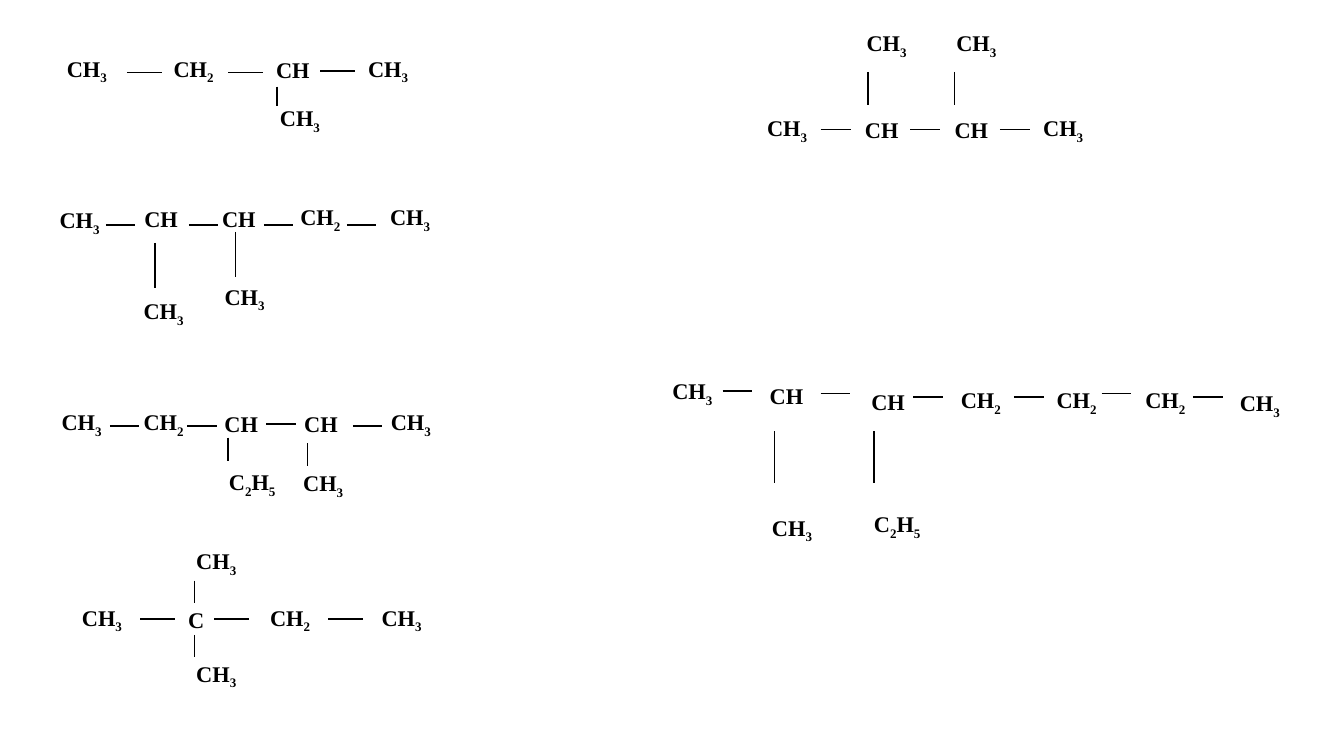
from dataclasses import dataclass

from lxml import etree
from pptx import Presentation
from pptx.dml.color import RGBColor
from pptx.enum.shapes import MSO_CONNECTOR
from pptx.enum.text import MSO_ANCHOR, PP_ALIGN
from pptx.oxml.ns import qn
from pptx.shapes.group import GroupShape
from pptx.util import Cm, Pt

STRAIGHT = MSO_CONNECTOR.STRAIGHT
MIDDLE = MSO_ANCHOR.MIDDLE
CENTER = PP_ALIGN.CENTER


@dataclass(frozen=True)
class Theme:
    font_name: str = "Times New Roman"
    font_size: Pt = Pt(16)
    ink: RGBColor = RGBColor(0, 0, 0)
    bond_width: Pt = Pt(1)
    subscript: str = "-25000"
    line_spacing: float = 1.07
    space_after: Pt = Pt(8)


THEME = Theme()


# All positions and sizes below are in centimetres.
@dataclass(frozen=True)
class AtomRow:
    top: float
    formulas: str  # separated by spaces, one for each left edge
    lefts: list[float]


@dataclass(frozen=True)
class BondRow:
    top: float
    lefts: list[float]


@dataclass(frozen=True)
class Molecule:
    wide: float  # box width of a formula with a subscript
    narrow: float  # box width of a formula without one
    height: float
    atoms: list[AtomRow]
    across_length: float
    across: list[BondRow]
    down_length: float
    down: list[BondRow]
    spaced: bool = True


MOLECULES = [
    # Left column, from top to bottom
    Molecule(1.6, 1.24, 0.64,
             [AtomRow(1.42, "CH3 CH2 CH CH3", [1.39, 4.08, 6.76, 8.98]),
              AtomRow(2.67, "CH3", [6.76])],
             0.87, [BondRow(1.83, [3.2, 5.75]), BondRow(1.79, [8.07])],
             0.48, [BondRow(2.18, [6.98])]),
    Molecule(1.35, 1.04, 1.52,
             [AtomRow(4.8, "CH3", [1.33]),
              AtomRow(4.72, "CH CH CH2 CH3", [3.54, 5.5, 7.4, 9.66]),
              AtomRow(7.09, "CH3", [3.45]),
              AtomRow(6.73, "CH3", [5.49])],
             0.74, [BondRow(5.67, [2.67, 4.76, 6.65, 8.74])],
             1.14, [BondRow(6.12, [3.91]), BondRow(5.84, [5.94])]),
    Molecule(1.35, 1.04, 0.79,
             [AtomRow(10.25, "CH3 CH2 CH CH CH3",
                      [1.38, 3.45, 5.56, 7.57, 9.68]),
              AtomRow(11.76, "C2H5", [5.68]),
              AtomRow(11.79, "CH3", [7.47])],
             0.74, [BondRow(10.73, [2.77, 4.72, 8.89]),
                    BondRow(10.68, [6.71])],
             0.58, [BondRow(11.03, [5.75]), BondRow(11.17, [7.75])]),
    Molecule(1.8, 0.81, 0.74,
             [AtomRow(13.81, "CH3", [4.55]),
              AtomRow(15.23, "CH3 C CH2 CH3", [1.67, 4.54, 6.41, 9.22]),
              AtomRow(16.64, "CH3", [4.55])],
             0.87, [BondRow(15.6, [3.53, 5.4, 8.27])],
             0.56, [BondRow(14.63, [4.9]), BondRow(16, [4.9])],
             spaced=False),
    # Right column, from top to bottom
    Molecule(1.57, 1.32, 1.12,
             [AtomRow(0.56, "CH3 CH3", [21.56, 23.82]),
              AtomRow(2.71, "CH3 CH CH CH3", [19.05, 21.56, 23.82, 26.01])],
             0.76, [BondRow(3.27, [20.68, 22.94, 25.2])],
             0.84, [BondRow(1.81, [21.87, 24.06])],
             spaced=False),
    Molecule(1.88, 1.88, 1.75,
             [AtomRow(8.99, "CH3", [16.51]),
              AtomRow(9.07, "CH", [18.88]),
              AtomRow(9.22, "CH CH2 CH2 CH2", [21.44, 23.78, 26.19, 28.43]),
              AtomRow(9.3, "CH3", [30.81]),
              AtomRow(12.43, "CH3", [19.02]),
              AtomRow(12.34, "C2H5", [21.67])],
             0.75, [BondRow(9.85, [18.21]), BondRow(9.92, [20.68, 27.76]),
                    BondRow(10, [23.01, 25.55, 30.06])],
             1.31, [BondRow(10.87, [19.52, 22.03])]),
]


def split_formula(formula: str) -> list[str]:
    """Separate letters from the digits that become subscripts."""
    parts: list[str] = []
    for symbol in formula:
        if parts and parts[-1].isdigit() == symbol.isdigit():
            parts[-1] += symbol
        else:
            parts.append(symbol)
    return parts


def draw_atom(group: GroupShape, molecule: Molecule,
              formula: str, left: float, top: float) -> None:
    parts = split_formula(formula)
    width = molecule.wide if len(parts) > 1 else molecule.narrow
    box = group.shapes.add_textbox(
        Cm(left), Cm(top), Cm(width), Cm(molecule.height))
    frame = box.text_frame
    frame.word_wrap = True
    frame.vertical_anchor = MIDDLE
    frame.margin_left = frame.margin_right = Cm(0)
    frame.margin_top = frame.margin_bottom = Cm(0)
    paragraph = frame.paragraphs[0]
    paragraph.alignment = CENTER
    if molecule.spaced:
        paragraph.line_spacing = THEME.line_spacing
        paragraph.space_after = THEME.space_after
    font = paragraph.font
    font.name = THEME.font_name
    font.size = THEME.font_size
    font.bold = True
    font.color.rgb = THEME.ink
    for part in parts:
        run = paragraph.add_run()
        run.text = part
        if part.isdigit():
            run._r.get_or_add_rPr().set("baseline", THEME.subscript)


def draw_bonds(group: GroupShape, rows: list[BondRow],
               width: float, height: float) -> None:
    for row in rows:
        for left in row.lefts:
            bond = group.shapes.add_connector(
                STRAIGHT, Cm(left), Cm(row.top),
                Cm(left + width), Cm(row.top + height))
            bond.line.color.rgb = THEME.ink
            bond.line.width = THEME.bond_width
            etree.SubElement(bond._element.spPr, qn("a:effectLst"))


def draw_molecule(group: GroupShape, molecule: Molecule) -> None:
    for row in molecule.atoms:
        for formula, left in zip(row.formulas.split(), row.lefts):
            draw_atom(group, molecule, formula, left, row.top)
    draw_bonds(group, molecule.across, molecule.across_length, 0)
    draw_bonds(group, molecule.down, 0, molecule.down_length)


def main() -> None:
    presentation = Presentation()
    presentation.slide_width = Cm(33.87)
    presentation.slide_height = Cm(19.05)
    slide = presentation.slides.add_slide(presentation.slide_layouts[6])
    for molecule in MOLECULES:
        draw_molecule(slide.shapes.add_group_shape(), molecule)
    presentation.save("out.pptx")


if __name__ == "__main__":
    main()
